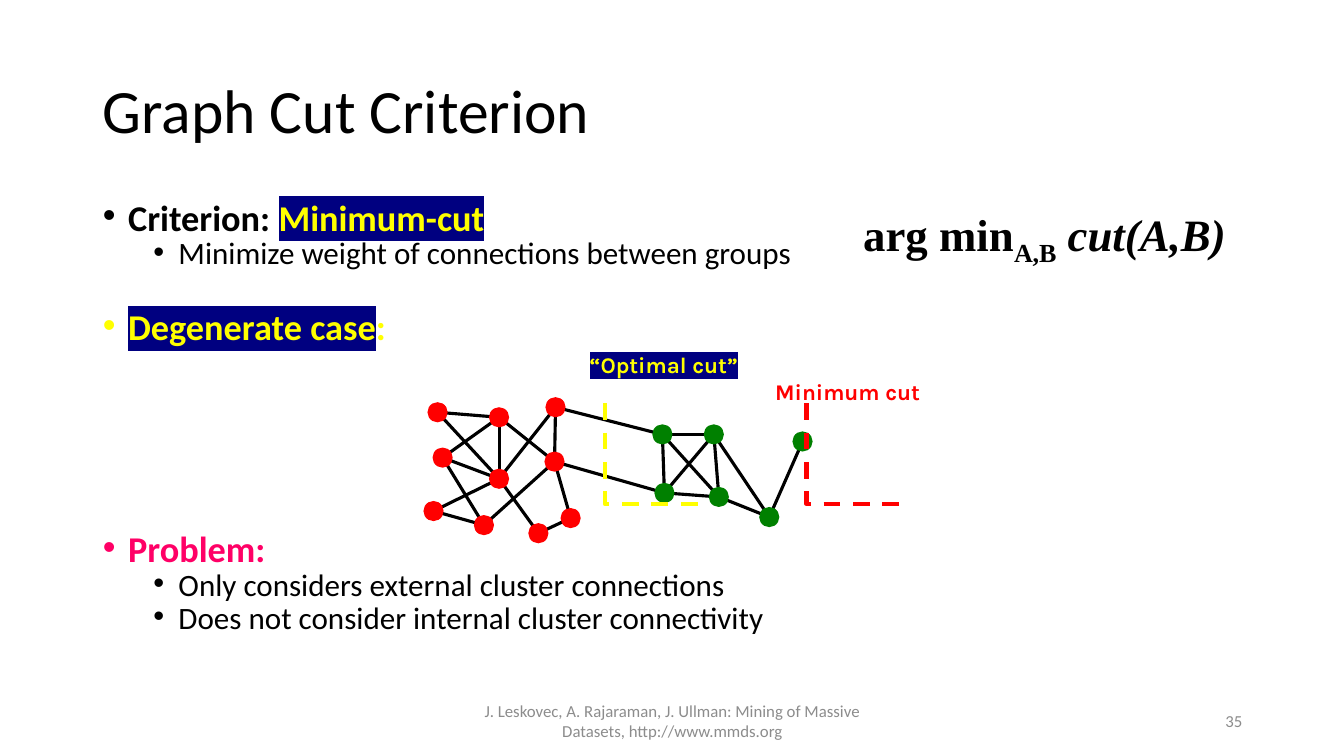
from dataclasses import dataclass

from lxml import etree
from pptx import Presentation
from pptx.dml.color import RGBColor
from pptx.enum.dml import MSO_LINE
from pptx.enum.shapes import MSO_CONNECTOR, MSO_SHAPE
from pptx.enum.text import MSO_ANCHOR, MSO_AUTO_SIZE, PP_ALIGN
from pptx.oxml.ns import qn
from pptx.util import Inches, Pt

LEFT, CENTER, RIGHT = PP_ALIGN.LEFT, PP_ALIGN.CENTER, PP_ALIGN.RIGHT
TOP, MIDDLE = MSO_ANCHOR.TOP, MSO_ANCHOR.MIDDLE
STRAIGHT, OVAL, DASH = MSO_CONNECTOR.STRAIGHT, MSO_SHAPE.OVAL, MSO_LINE.DASH

COLORS = {"black": "000000", "yellow": "FFFF00", "navy": "000080", "pink": "FF0066",
          "red": "FF0000", "green": "008000", "gray": "8C8C8C"}
NODE_SIZE = 0.2
CURVE_STEPS = 8
Point = tuple[float, float]


@dataclass
class Run:
    text: str
    color: str = "black"
    highlight: str = ""
    italic: bool = False
    baseline: int = 0


@dataclass
class Bullet:
    runs: list[Run]
    level: int = 0
    space_before: float = 10


@dataclass
class Label:
    box: tuple[float, float, float, float]
    runs: list[Run]
    font: str
    size: float
    bold: bool = False
    align: PP_ALIGN = LEFT
    anchor: MSO_ANCHOR = TOP


@dataclass
class CutCurve:
    """A chain of cubic segments: a start, then two controls and an end for each."""
    color: str
    points: list[Point]


BULLETS = [
    Bullet([Run("Criterion: "), Run("Minimum-cut", "yellow", "navy")]),
    Bullet([Run("Minimize weight of connections between groups")], 1, 5),
    Bullet([Run("Degenerate case", "yellow", "navy"), Run(":", "yellow")], 0, 33),
    Bullet([Run("Problem:", "pink")], 0, 136.5),
    Bullet([Run("Only considers external cluster connections")], 1, 5),
    Bullet([Run("Does not consider internal cluster connectivity")], 1, 5),
]
LABELS = [
    Label((4.42, 6.95, 4.5, 0.4),
          [Run("J. Leskovec, A. Rajaraman, J. Ullman: Mining of Massive Datasets, "
               "http://www.mmds.org", "gray")], "Calibri", 12, False, CENTER, MIDDLE),
    Label((9.42, 6.95, 3, 0.4), [Run("35", "gray")], "Calibri", 12, False, RIGHT, MIDDLE),
    Label((8.25, 2, 4.22, 0.64),
          [Run("arg min"), Run("A,B", baseline=-25000), Run(" cut(A,B)", italic=True)],
          "Times New Roman", 32, True, CENTER),
    Label((5.75, 3.43, 1.74, 0.37), [Run("“Optimal cut”", "yellow", "navy")],
          "Karla", 16, True),
    Label((7.59, 3.7, 1.66, 0.37), [Run("Minimum cut", "red")], "Karla", 16, True),
]
RED_NODES = {
    "r1": (4.34, 4.09), "r2": (4.95, 4.14), "r3": (5.51, 4.04), "r4": (4.39, 4.54),
    "r5": (4.95, 4.75), "r6": (5.5, 4.58), "r7": (4.3, 5.07), "r8": (4.8, 5.21),
    "r9": (5.34, 5.29), "r10": (5.66, 5.14),
}
GREEN_NODES = {
    "g1": (6.57, 4.31), "g2": (7.08, 4.31), "g3": (6.59, 4.89),
    "g4": (7.13, 4.93), "g5": (7.63, 5.13), "g6": (7.96, 4.38),
}
NEIGHBORS = {
    "r1": "r2 r5", "r2": "r4 r5 r6", "r3": "r5 r6 g1", "r4": "r5 r8",
    "r5": "r7 r9", "r6": "r8 r10 g3", "r7": "r8", "r9": "r10",
    "g1": "g2 g3 g4", "g2": "g3 g4 g5", "g3": "g4", "g4": "g5", "g5": "g6",
}
CUTS = [
    CutCurve("red", [(7.64, 4.03), (7.63, 4.15), (7.61, 4.28), (7.65, 4.39),
                     (7.69, 4.51), (7.75, 4.64), (7.85, 4.72),
                     (7.96, 4.81), (8.12, 4.87), (8.29, 4.89),
                     (8.46, 4.91), (8.66, 4.87), (8.86, 4.83)]),
    CutCurve("yellow", [(6.07, 3.77), (6.05, 3.85), (6.02, 3.94), (6.01, 4.05),
                        (6, 4.17), (5.99, 4.36), (6, 4.47),
                        (6.01, 4.58), (6.02, 4.59), (6.07, 4.7),
                        (6.13, 4.81), (6.24, 5.03), (6.31, 5.12),
                        (6.39, 5.22), (6.46, 5.24), (6.52, 5.26)]),
]


def rgb(name: str) -> RGBColor:
    return RGBColor.from_string(COLORS[name])


def add_runs(paragraph, runs: list[Run]) -> None:
    for item in runs:
        run = paragraph.add_run()
        run.text = item.text
        run.font.color.rgb = rgb(item.color)
        properties = run.font._element
        if item.italic:
            run.font.italic = True
        if item.baseline:
            properties.set("baseline", str(item.baseline))
        if item.highlight:
            highlight = etree.SubElement(properties, qn("a:highlight"))
            etree.SubElement(highlight, qn("a:srgbClr"), val=COLORS[item.highlight])


def set_font(paragraph, name: str, size: float, bold: bool) -> None:
    font = paragraph.font
    font.name, font.size, font.bold = name, Pt(size), bold


def place(shape, left: float, top: float, width: float, height: float) -> None:
    shape.left, shape.top = Inches(left), Inches(top)
    shape.width, shape.height = Inches(width), Inches(height)


def fill_title(title) -> None:
    place(title, 0.92, 0.4, 11.5, 1.45)
    title.text_frame.auto_size = MSO_AUTO_SIZE.NONE
    title.text_frame.vertical_anchor = MIDDLE
    paragraph = title.text_frame.paragraphs[0]
    paragraph.alignment, paragraph.line_spacing = LEFT, 0.9
    set_font(paragraph, "Calibri", 44, False)
    add_runs(paragraph, [Run("Graph Cut Criterion")])


def fill_body(body) -> None:
    place(body, 0.92, 2, 11.5, 4.76)
    frame = body.text_frame
    frame.auto_size = MSO_AUTO_SIZE.NONE
    for index, bullet in enumerate(BULLETS):
        paragraph = frame.add_paragraph() if index else frame.paragraphs[0]
        paragraph.level = bullet.level
        properties = paragraph._p.get_or_add_pPr()
        properties.set("marL", str(Inches(0.25 + 0.5 * bullet.level)))
        properties.set("indent", str(Inches(-0.25)))
        etree.SubElement(properties, qn("a:buFont"), typeface="Arial")
        etree.SubElement(properties, qn("a:buChar"), char="•")
        paragraph.line_spacing = 0.7
        paragraph.space_before = Pt(bullet.space_before)
        set_font(paragraph, "Calibri", 22.2 if bullet.level else 25.9, not bullet.level)
        add_runs(paragraph, bullet.runs)


def add_label(shapes, label: Label) -> None:
    frame = shapes.add_textbox(*map(Inches, label.box)).text_frame
    frame.word_wrap = True
    frame.vertical_anchor = label.anchor
    paragraph = frame.paragraphs[0]
    paragraph.alignment = label.align
    set_font(paragraph, label.font, label.size, label.bold)
    add_runs(paragraph, label.runs)


def add_edge(shapes, start: Point, end: Point) -> None:
    edge = shapes.add_connector(STRAIGHT, *map(Inches, (*start, *end)))
    edge.line.color.rgb, edge.line.width = rgb("black"), Pt(2.25)
    etree.SubElement(edge._element.spPr, qn("a:effectLst"))


def add_node(shapes, center: Point, color: str) -> None:
    left, top = (value - NODE_SIZE / 2 for value in center)
    node = shapes.add_shape(OVAL, *map(Inches, (left, top, NODE_SIZE, NODE_SIZE)))
    node.shadow.inherit = False
    node.fill.solid()
    node.fill.fore_color.rgb = rgb(color)
    node.line.fill.background()


def add_cut(shapes, cut: CutCurve) -> None:
    vertices = []
    for first in range(0, len(cut.points) - 1, 3):
        segment = cut.points[first:first + 4]
        for step in range(1, CURVE_STEPS + 1):
            t = step / CURVE_STEPS
            weights = ((1 - t) ** 3, 3 * t * (1 - t) ** 2, 3 * t * t * (1 - t), t ** 3)
            vertices.append(tuple(sum(w * point[axis] for w, point in zip(weights, segment))
                                  for axis in (0, 1)))
    builder = shapes.build_freeform(*cut.points[0], scale=Inches(1))
    builder.add_line_segments(vertices, close=False)
    curve = builder.convert_to_shape()
    curve.shadow.inherit = False
    curve.fill.background()
    curve.line.color.rgb, curve.line.width = rgb(cut.color), Pt(3)
    curve.line.dash_style = DASH


def main() -> None:
    presentation = Presentation()
    presentation.slide_width, presentation.slide_height = Inches(13.33), Inches(7.5)
    slide = presentation.slides.add_slide(presentation.slide_layouts[1])
    shapes = slide.shapes
    fill_title(shapes.title)
    fill_body(slide.placeholders[1])
    for label in LABELS:
        add_label(shapes, label)
    centers = RED_NODES | GREEN_NODES
    for name, neighbors in NEIGHBORS.items():
        for neighbor in neighbors.split():
            add_edge(shapes, centers[name], centers[neighbor])
    for color, nodes in (("red", RED_NODES), ("green", GREEN_NODES)):
        for center in nodes.values():
            add_node(shapes, center, color)
    for cut in CUTS:
        add_cut(shapes, cut)
    presentation.save("out.pptx")


if __name__ == "__main__":
    main()
